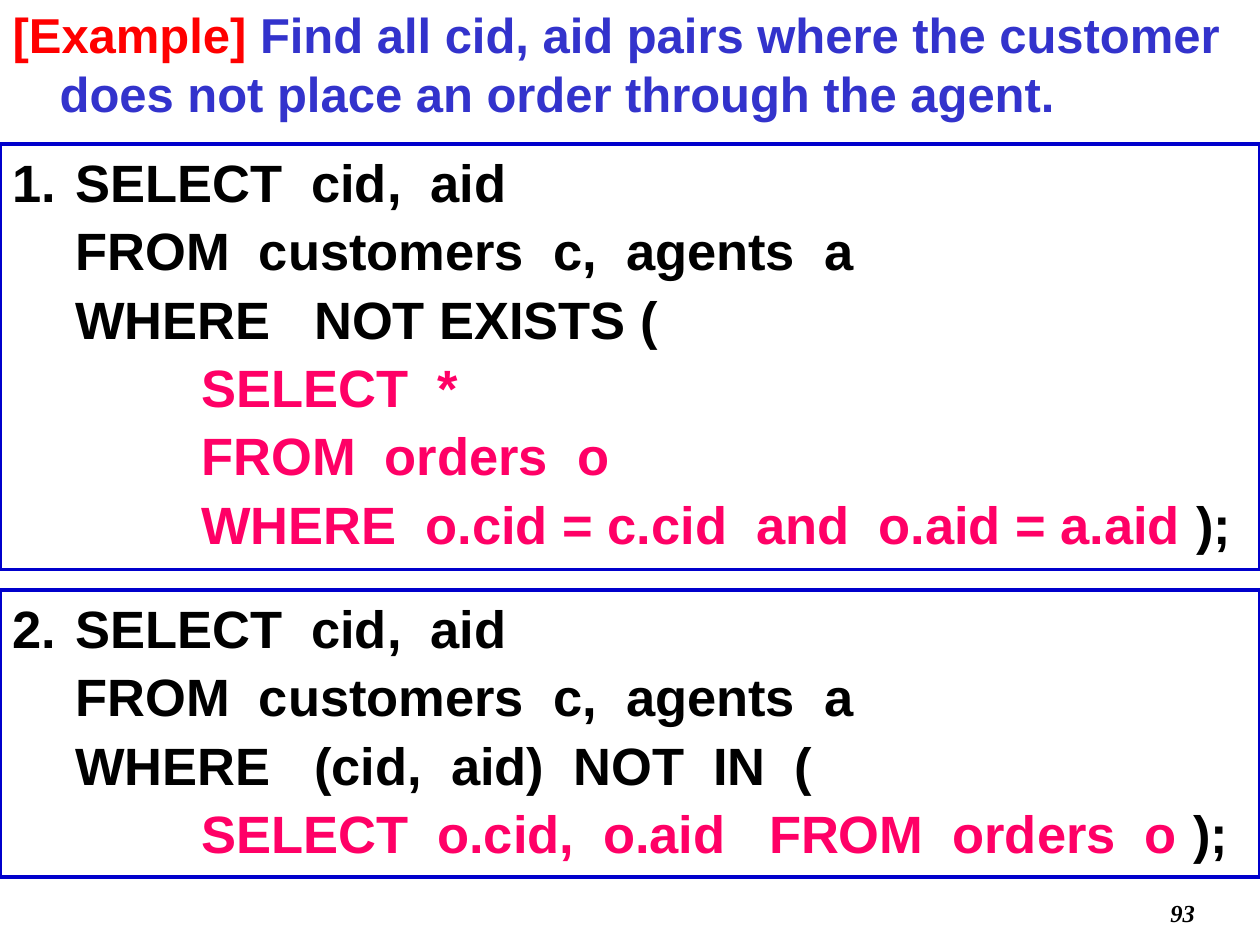
import pptx
import pptx.util
import pptx.dml.color
import pptx.enum.shapes
import pptx.enum.text
import pptx.oxml.ns
from lxml import etree

Cm = pptx.util.Cm
Pt = pptx.util.Pt
RGBColor = pptx.dml.color.RGBColor
qn = pptx.oxml.ns.qn
PP_ALIGN = pptx.enum.text.PP_ALIGN

BLACK = RGBColor(0, 0, 0)
WHITE = RGBColor(255, 255, 255)
RED = RGBColor(255, 0, 0)
INDIGO = RGBColor(0x33, 0x33, 0xCC)
BORDER_BLUE = RGBColor(0, 0, 0xCC)
PINK = RGBColor(0xFF, 0, 0x66)

QUESTION = [
    ("[Example] ", RED),
    ("Find all cid, aid pairs where the customer does not place an order "
     "through the agent.", INDIGO),
]
OUTER_LINES = [
    (0, [("SELECT  cid,  aid", BLACK)]),
    (1, [("FROM  customers  c,  agents  a", BLACK)]),
]
QUERIES = [
    (2.9, 8.58, OUTER_LINES + [
        (1, [("WHERE   NOT EXISTS (", BLACK)]),
        (3, [("SELECT  *", PINK)]),
        (3, [("FROM  orders  o", PINK)]),
        (3, [("WHERE  o.cid = c.cid  and  o.aid = a.aid", PINK), (" );", BLACK)]),
    ]),
    (11.89, 5.79, OUTER_LINES + [
        (1, [("WHERE   (cid,  aid)  NOT  IN  (", BLACK)]),
        (3, [("SELECT  o.cid,  o.aid   FROM  orders  o ", PINK), (");", BLACK)]),
    ]),
]
PAGE_NUMBER = "93"
INDENTS = {0: (1.27, -1.27), 1: (2.54, -1.27), 3: (4.45, -0.64)}


def indent(paragraph, left, first):
    properties = paragraph._p.get_or_add_pPr()
    properties.set("marL", str(Cm(left)))
    properties.set("indent", str(Cm(first)))
    return properties


def write_runs(paragraph, pieces, size):
    paragraph.font.name = "Arial"
    paragraph.font.size = Pt(size)
    paragraph.font.bold = True
    for wording, color in pieces:
        run = paragraph.add_run()
        run.text = wording
        run.font.color.rgb = color


def add_query(slide, number, top, height, lines):
    box = slide.shapes.add_shape(
        pptx.enum.shapes.MSO_SHAPE.RECTANGLE, 0, Cm(top), Cm(25.4), Cm(height))
    box.shadow.inherit = False
    box.fill.solid()
    box.fill.fore_color.rgb = WHITE
    box.line.color.rgb = BORDER_BLUE
    box.line.width = Pt(2)
    frame = box.text_frame
    frame.word_wrap = True
    frame.vertical_anchor = pptx.enum.text.MSO_ANCHOR.TOP
    frame.margin_top = Cm(0.13)
    for position, (level, pieces) in enumerate(lines):
        line = frame.add_paragraph() if position else frame.paragraphs[0]
        line.alignment = PP_ALIGN.LEFT
        line.level = level
        properties = indent(line, *INDENTS[level])
        if position:
            line.space_before = Pt(3)
        else:
            bullet_color = etree.SubElement(properties, qn("a:buClr"))
            etree.SubElement(bullet_color, qn("a:srgbClr"), val=str(BLACK))
            etree.SubElement(properties, qn("a:buFont"), typeface="+mj-lt")
            etree.SubElement(properties, qn("a:buAutoNum"),
                             type="arabicPeriod", startAt=str(number))
        write_runs(line, pieces, 30)


deck = pptx.Presentation()
deck.slide_width, deck.slide_height = Cm(25.4), Cm(19.05)
slide = deck.slides.add_slide(deck.slide_layouts[1])
heading = slide.shapes.title
heading.element.getparent().remove(heading.element)

question = slide.placeholders[1]
question.left, question.top = Cm(0), Cm(-0.03)
question.width, question.height = Cm(25.4), Cm(2.72)
question.text_frame.auto_size = pptx.enum.text.MSO_AUTO_SIZE.NONE
question.text_frame.margin_top = Cm(0.13)
sentence = question.text_frame.paragraphs[0]
sentence.line_spacing = 1.0
sentence.space_before = Pt(0)
etree.SubElement(indent(sentence, 0.95, -0.95), qn("a:buNone"))
write_runs(sentence, QUESTION, 28)

for number, (top, height, lines) in enumerate(QUERIES, start=1):
    add_query(slide, number, top, height, lines)

footer = slide.shapes.add_textbox(Cm(19.05), Cm(17.98), Cm(5.29), Cm(0.85))
footer.text_frame.word_wrap = True
page = footer.text_frame.paragraphs[0]
page.text = PAGE_NUMBER
page.alignment = PP_ALIGN.RIGHT
page.font.name = "Times New Roman"
page.font.size = Pt(14)
page.font.bold = page.font.italic = True
page.font.color.rgb = BLACK

deck.save("out.pptx")
